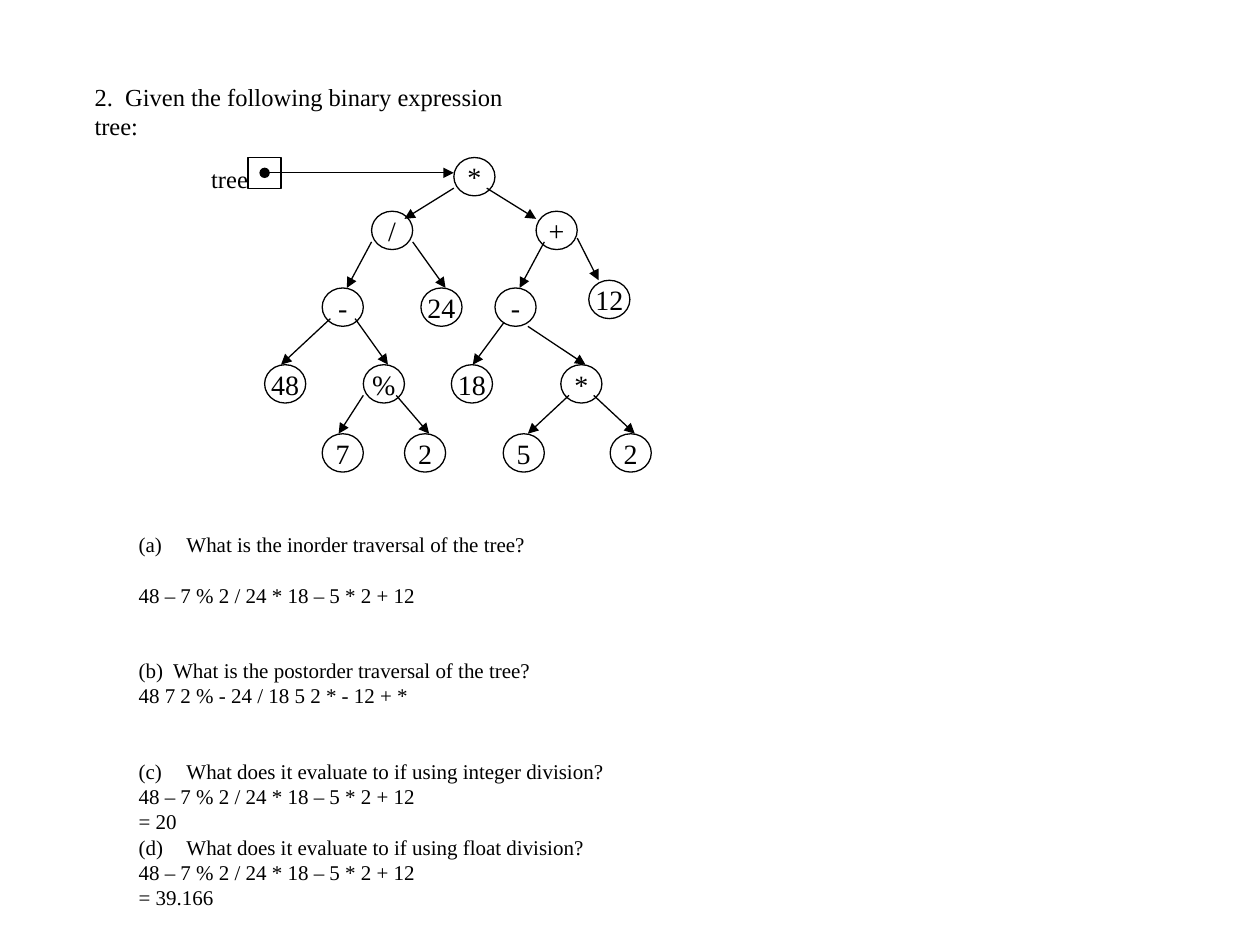
from lxml import etree
from pptx import Presentation
from pptx.dml.color import RGBColor
from pptx.enum.shapes import MSO_CONNECTOR, MSO_SHAPE
from pptx.enum.text import MSO_ANCHOR, MSO_AUTO_SIZE, PP_ALIGN
from pptx.oxml.ns import qn
from pptx.util import Inches, Pt

LEFT, CENTER = PP_ALIGN.LEFT, PP_ALIGN.CENTER
TOP, MIDDLE = MSO_ANCHOR.TOP, MSO_ANCHOR.MIDDLE
NO_FIT = MSO_AUTO_SIZE.NONE
OVAL, RECT = MSO_SHAPE.OVAL, MSO_SHAPE.RECTANGLE
STRAIGHT = MSO_CONNECTOR.STRAIGHT
INK = "000000"
X0, Y0, COL, ROW = 2.1, 1.25, 0.0653, 0.0609
LINE, HANG = 14.4, Inches(0.38)


def rgb(color):
    return RGBColor.from_string(color)


def write(p, text, size=14, align=LEFT, before=0, color=INK):
    p.alignment = align
    p.space_before, p.space_after = Pt(before), Pt(0)
    r = p.add_run()
    r.text = text
    r.font.name, r.font.size = "Times New Roman", Pt(size)
    r.font.color.rgb = rgb(color)


prs = Presentation()
prs.slide_width, prs.slide_height = Inches(10), Inches(7.5)
s = prs.slides.add_slide(prs.slide_layouts[1])
title, body = s.placeholders
tree = s.shapes.add_textbox(0, 0, 0, 0)

for sp, box in [
    (title, (0.65, 0.6, 3.83, 0.6)),
    (body, (1, 4.17, 3.94, 3.13)),
    (tree, (X0 - 8 * COL, Y0, 0.49, 0.33)),
]:
    sp.left, sp.top, sp.width, sp.height = map(Inches, box)
    tf = sp.text_frame
    tf.auto_size, tf.vertical_anchor = NO_FIT, TOP
    tf.word_wrap = sp is not tree

write(title.text_frame.paragraphs[0], "2.  Given the following binary expression tree:")
write(tree.text_frame.paragraphs[0], "tree")

infix = "48 – 7 % 2 / 24 * 18 – 5 * 2 + 12"
lines = [
    ("What is the inorder traversal of the tree?", 1, 0),
    (infix, None, 1),
    ("(b)  What is the postorder traversal of the tree?", None, 2),
    ("48 7 2 % - 24 / 18 5 2 * - 12 + *", None, 0),
    ("What does it evaluate to if using integer division?", 3, 2),
    (infix, None, 0),
    ("= 20", None, 0),
    ("What does it evaluate to if using float division?", 4, 0),
    (infix, None, 0),
    ("= 39.166", None, 0),
]
tf = body.text_frame
for i, (text, number, gap) in enumerate(lines):
    p = tf.add_paragraph() if i else tf.paragraphs[0]
    write(p, text, size=12, before=gap * LINE)
    pPr = p._p.get_or_add_pPr()
    pPr.set("marL", str(HANG if number else 0))
    pPr.set("indent", str(-HANG if number else 0))
    if number:
        etree.SubElement(pPr, qn("a:buAutoNum"), type="alphaLcParenBoth", startAt=str(number))
    else:
        etree.SubElement(pPr, qn("a:buNone"))

nodes = [
    ("*", 23, 0), ("/", 13, 7), ("+", 33, 7),
    ("-", 7, 17), ("24", 19, 17), ("-", 28, 17), ("12", 39.4, 16),
    ("48", 0, 27), ("%", 12, 27), ("18", 22.7, 27), ("*", 36, 27),
    ("7", 7, 36), ("2", 17, 36), ("5", 29, 36), ("2", 42, 36),
]
shapes = [(OVAL, text, c, r, 5) for text, c, r in nodes] + [(RECT, "", -2, 0, 4)]
for kind, text, c, r, span in shapes:
    sp = s.shapes.add_shape(kind, Inches(X0 + c * COL), Inches(Y0 + r * ROW),
                            Inches(span * COL), Inches(span * ROW))
    sp.shadow.inherit = False
    sp.fill.background()
    sp.line.color.rgb, sp.line.width = rgb(INK), Pt(0.75)
    if text:
        tf = sp.text_frame
        tf.word_wrap, tf.vertical_anchor = False, MIDDLE
        write(tf.paragraphs[0], text, size=16, align=CENTER)

pointer = (0, 2, 23, 2)
arrows = [
    pointer, (23, 4, 17, 8), (27, 4, 33, 8),
    (13, 11, 10, 17), (18, 11, 22, 17), (34, 11, 31, 17), (38, 10.5, 40.6, 16),
    (8, 21, 2, 27), (11, 21, 15, 27), (29.1, 21.5, 25.3, 27), (32, 22, 39, 27),
    (12, 31, 9, 36), (16, 31, 20, 36), (37, 31, 32, 36), (40, 31, 45, 36),
]
for arrow in arrows:
    c1, r1, c2, r2 = arrow
    cn = s.shapes.add_connector(STRAIGHT, Inches(X0 + c1 * COL), Inches(Y0 + r1 * ROW),
                                Inches(X0 + c2 * COL), Inches(Y0 + r2 * ROW))
    cn.line.color.rgb, cn.line.width = rgb(INK), Pt(0.75)
    ln = cn.line._get_or_add_ln()
    if arrow == pointer:
        etree.SubElement(ln, qn("a:headEnd"), type="oval")
    etree.SubElement(ln, qn("a:tailEnd"), type="triangle")
    etree.SubElement(cn._element.spPr, qn("a:effectLst"))

prs.save("out.pptx")
